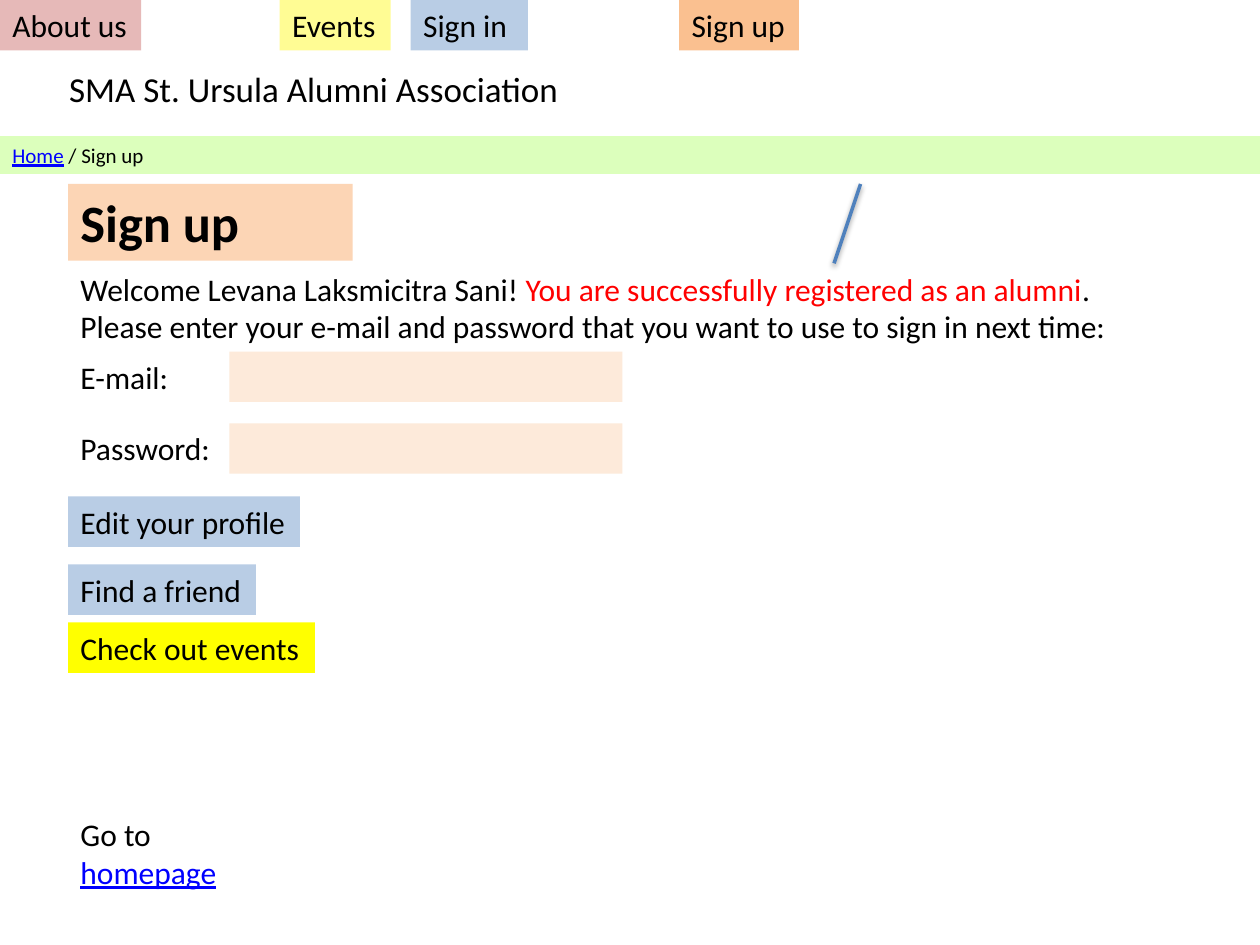
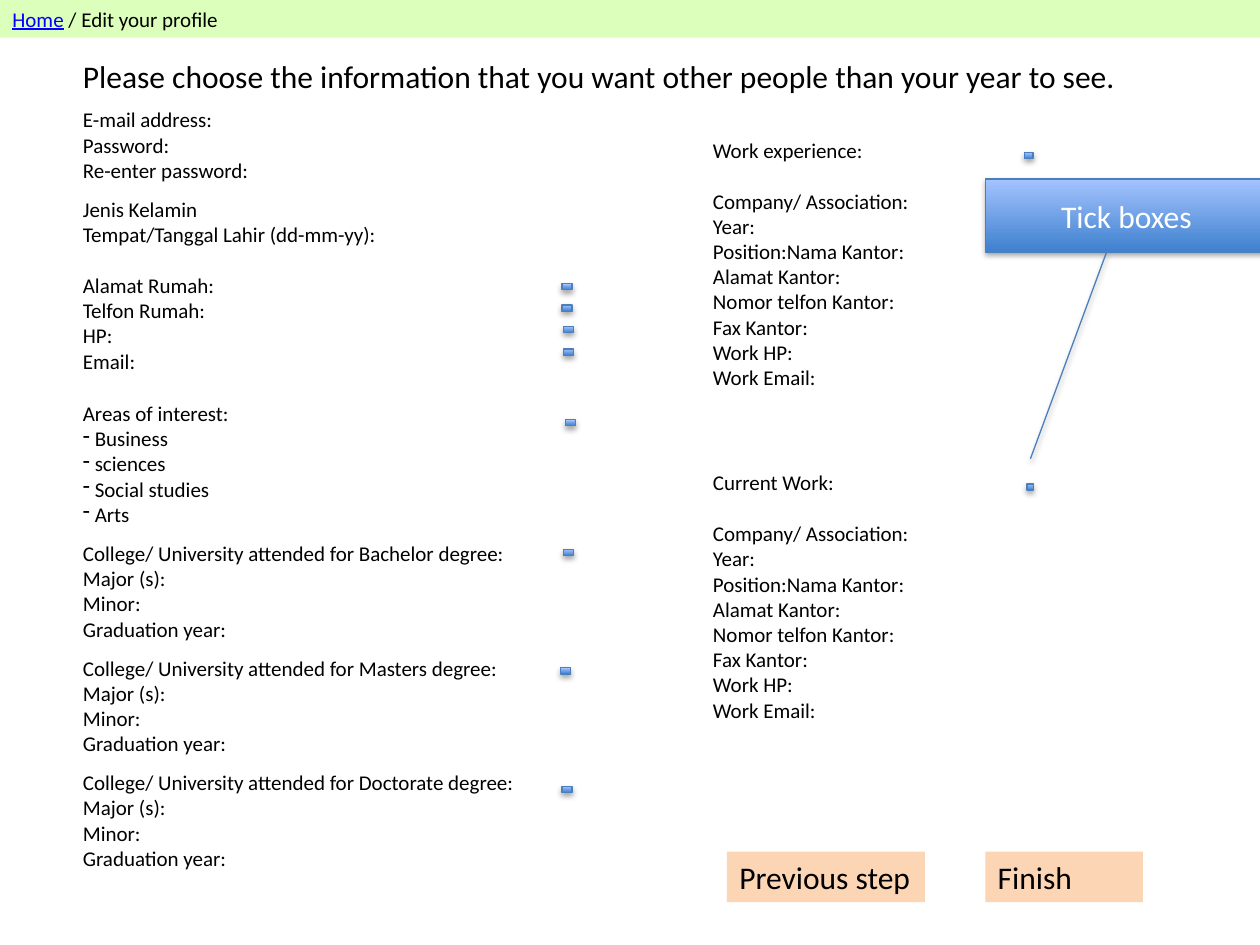
from lxml import etree
from pptx import Presentation
from pptx.dml.color import RGBColor as RGB
from pptx.enum.shapes import MSO_CONNECTOR as CONN, MSO_SHAPE as SHAPE
from pptx.enum.text import MSO_ANCHOR as ANCHOR, MSO_AUTO_SIZE as FIT, PP_ALIGN as ALIGN
from pptx.oxml.ns import qn
from pptx.util import Inches, Pt

COLORS = dict(text="000000", white="FFFFFF", link="0000FF", alert="FF0000",
              band="A3FF4F", rose="E6B9B8", cream="FFFC94", blue="B9CDE5",
              orange="FAC090", peach="FCD5B5", field="FDEADA", yellow="FFFF00",
              line="4F81BD", edge="4B7EBC", dark="3F80CE", light="A4C4FF")
COLS, ROWS = 100, 75
LINE_HEIGHT = 14.65
DASH_INDENT = 6.8


class Deck:
    """Style and current slide, placed on a grid of 100 columns by 75 rows."""

    font = "Calibri"

    def __init__(self):
        self.prs = Presentation()
        self.prs.slide_width, self.prs.slide_height = Inches(10), Inches(7.5)

    def new_slide(self):
        self.shapes = self.prs.slides.add_slide(self.prs.slide_layouts[6]).shapes

    def grid(self, *values):
        steps = self.prs.slide_width / COLS, self.prs.slide_height / ROWS
        return [round(v * steps[i % 2]) for i, v in enumerate(values)]

    def color(self, name):
        return RGB.from_string(COLORS[name])

    def shadow(self, sp, alpha, dist):
        effects = etree.SubElement(sp._element.spPr, qn("a:effectLst"))
        outer = etree.SubElement(effects, qn("a:outerShdw"), blurRad="40000",
                                 dist=str(dist), dir="5400000", rotWithShape="0")
        black = etree.SubElement(outer, qn("a:srgbClr"), val=COLORS["text"])
        etree.SubElement(black, qn("a:alpha"), val=str(alpha * 1000))

    def box(self, at, fill):
        sp = self.shapes.add_shape(SHAPE.RECTANGLE, *self.grid(*at))
        sp.shadow.inherit = False
        sp.line.fill.background()
        sp.fill.solid()
        sp.fill.fore_color.rgb = self.color(fill)
        return sp

    def style(self, r, size, color="text", bold=False):
        r.font.name, r.font.size, r.font.bold = self.font, Pt(size), bold
        r.font.color.rgb = self.color(color)
        if color == "link":
            r.font.underline = True

    def text(self, at, *paras, size=18, fill=None, wrap=False, bold=False, gaps=(), dashes=()):
        sp = self.box(at, fill) if fill else self.shapes.add_textbox(*self.grid(*at))
        tf = sp.text_frame
        tf.word_wrap, tf.auto_size = wrap, FIT.SHAPE_TO_FIT_TEXT
        tf.vertical_anchor = ANCHOR.TOP
        for i, para in enumerate(paras):
            p = tf.paragraphs[0] if i == 0 else tf.add_paragraph()
            p.alignment = ALIGN.LEFT
            if i in gaps:
                p.space_before = Pt(LINE_HEIGHT)
            if i in dashes:
                self.dash(p)
            for words, color in [(para, "text")] if isinstance(para, str) else para:
                r = p.add_run()
                r.text = words
                self.style(r, size, color, bold)
        return sp

    def dash(self, p):
        pPr = p._p.get_or_add_pPr()
        pPr.set("marL", str(Pt(DASH_INDENT)))
        pPr.set("indent", str(-Pt(DASH_INDENT)))
        etree.SubElement(pPr, qn("a:buFontTx"))
        etree.SubElement(pPr, qn("a:buChar"), char="-")

    def breadcrumb(self, row, page):
        sp = self.text((0, row, 104.8, 3), [("Home", "link"), (f" / {page}", "text")],
                       size=12, fill="band", wrap=True)
        rgb = sp._element.spPr.find(qn("a:solidFill"))[0]
        etree.SubElement(rgb, qn("a:alpha"), val="38000")

    def glossy(self, at, kind=SHAPE.RECTANGLE):
        sp = self.shapes.add_shape(kind, *self.grid(*at))
        sp.fill.gradient()
        sp.fill.gradient_angle = 90
        for stop, name in zip(sp.fill.gradient_stops, ("dark", "light")):
            stop.color.rgb = self.color(name)
        sp.line.color.rgb, sp.line.width = self.color("edge"), Pt(0.75)
        self.shadow(sp, 35, 23000)
        return sp

    def callout(self, at, words, adjustments):
        sp = self.glossy(at, SHAPE.LINE_CALLOUT_1)
        for i, value in enumerate(adjustments):
            sp.adjustments[i] = value
        tf = sp.text_frame
        tf.text, tf.vertical_anchor = words, ANCHOR.MIDDLE
        tf.paragraphs[0].alignment = ALIGN.CENTER
        self.style(tf.paragraphs[0].runs[0], 18, "white")

    def line(self, *ends):
        sp = self.shapes.add_connector(CONN.STRAIGHT, *self.grid(*ends))
        sp.line.color.rgb, sp.line.width = self.color("line"), Pt(2)
        self.shadow(sp, 38, 20000)


def sign_up(d):
    d.new_slide()
    d.text((5.4, 14.6, 22.6, 6.1), "Sign up", size=30, fill="peach", wrap=True, bold=True)
    d.text((5.4, 20.9, 84.4, 7.1),
           [("Welcome Levana Laksmicitra Sani! ", "text"),
            ("You are successfully registered as an alumni", "alert"), (".", "text")],
           "Please enter your e-mail and password that you want to use to sign in next time:")
    for row, width, label, fill in ((39.4, 18.4, "Edit your profile", "blue"),
                                    (44.8, 14.9, "Find a friend", "blue"),
                                    (49.4, 19.6, "Check out events", "yellow")):
        d.text((5.4, row, width, 4), label, fill=fill)
    d.text((5.4, 64.2, 18.9, 4), [("Go to ", "text"), ("homepage", "link")])
    d.breadcrumb(10.8, "Sign up")
    d.text((4.5, 4.9, 42.2, 4.4), "SMA St. Ursula Alumni Association", size=20, wrap=True)
    for col, width, label, fill in ((0, 11.2, "About us", "rose"), (22.2, 8.8, "Events", "cream"),
                                    (32.6, 9.3, "Sign in", "blue"), (53.9, 9.5, "Sign up", "orange")):
        d.text((col, 0, width, 4), label, fill=fill, wrap=label == "Sign in")
    for row, width, label in ((27.9, 9.1, "E-mail:"), (33.6, 12.4, "Password:")):
        d.box((18.2, row, 31.2, 4), "field")
        d.text((5.4, row, width, 4), label)
    d.line(66.2, 20.9, 68.3, 14.6)


def edit_profile(d):
    d.new_slide()
    d.breadcrumb(0, "Edit your profile")
    d.text((5.6, 4, 84.8, 4),
           "Please choose the information that you want other people than your year to see.")
    d.text((5.6, 8, 50, 9.1), "E-mail address:", "Password:", "Re-enter password:",
           size=12, wrap=True)
    d.text((5.6, 15.1, 50, 17.2), "Jenis Kelamin", "Tempat/Tanggal Lahir (dd-mm-yy):",
           "Alamat Rumah:", "Telfon Rumah:", "HP:", "Email:", size=12, wrap=True, gaps=(2,))
    d.text((5.6, 31.3, 13.7, 11.1), "Areas of interest:", "Business", "sciences",
           "Social studies", "Arts", size=12, dashes=range(1, 5))
    for i, (degree, width) in enumerate((("Bachelor", 35.8), ("Masters", 35.3), ("Doctorate", 36.6))):
        d.text((5.6, 42.4 + 9.1 * i, width, 9.1),
               f"College/ University attended for {degree} degree:",
               "Major (s):", "Minor:", "Graduation year:", size=12)
    for row, heading in ((10.4, "Work experience:"), (36.8, "Current Work:")):
        d.text((55.6, row, 17.9, 25.2), heading, "Company/ Association:", "Year:",
               "Position:Nama Kantor:", "Alamat Kantor:", "Nomor telfon Kantor:",
               "Fax Kantor:", "Work HP:", "Work Email:", size=12, gaps=(1,))
    for col, row, width in ((44.6, 22.5, 0.8), (44.6, 24.2, 0.8), (44.7, 25.9, 0.8),
                            (44.7, 27.7, 0.8), (44.9, 33.3, 0.8), (44.7, 43.6, 0.8),
                            (44.5, 53, 0.8), (44.6, 62.4, 0.8), (81.5, 38.4, 0.5),
                            (81.3, 12.1, 0.7)):
        d.glossy((col, row, width, 0.5))
    d.callout((78.2, 14.2, 22.4, 5.8), "Tick boxes", (1, 0.43, 3.83, 0.16))
    d.text((57.7, 67.6, 15.7, 4), "Previous step", fill="peach")
    d.text((78.2, 67.6, 12.5, 4), "Finish", fill="peach", wrap=True)


def main():
    d = Deck()
    sign_up(d)
    edit_profile(d)
    d.prs.save("out.pptx")


if __name__ == "__main__":
    main()
